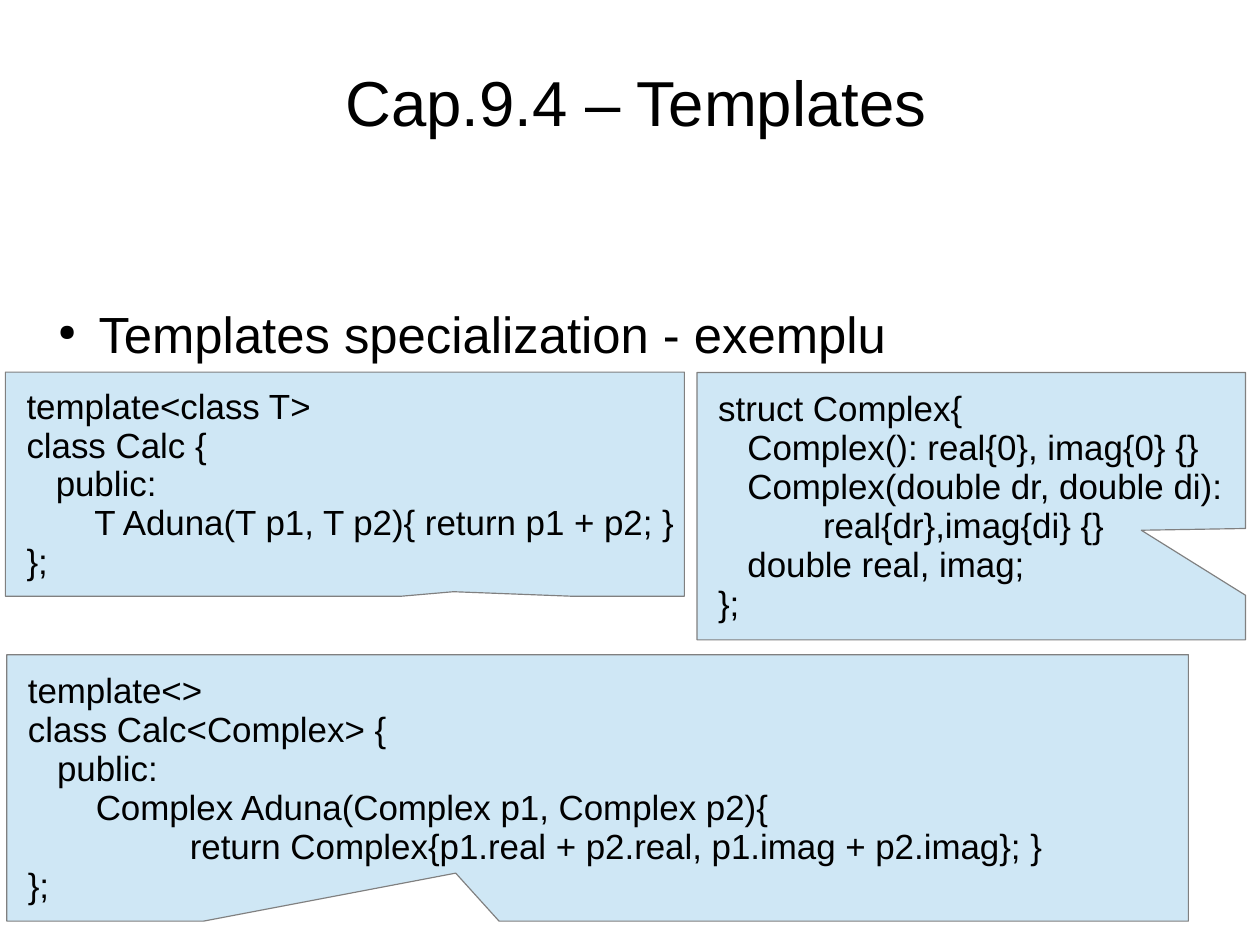
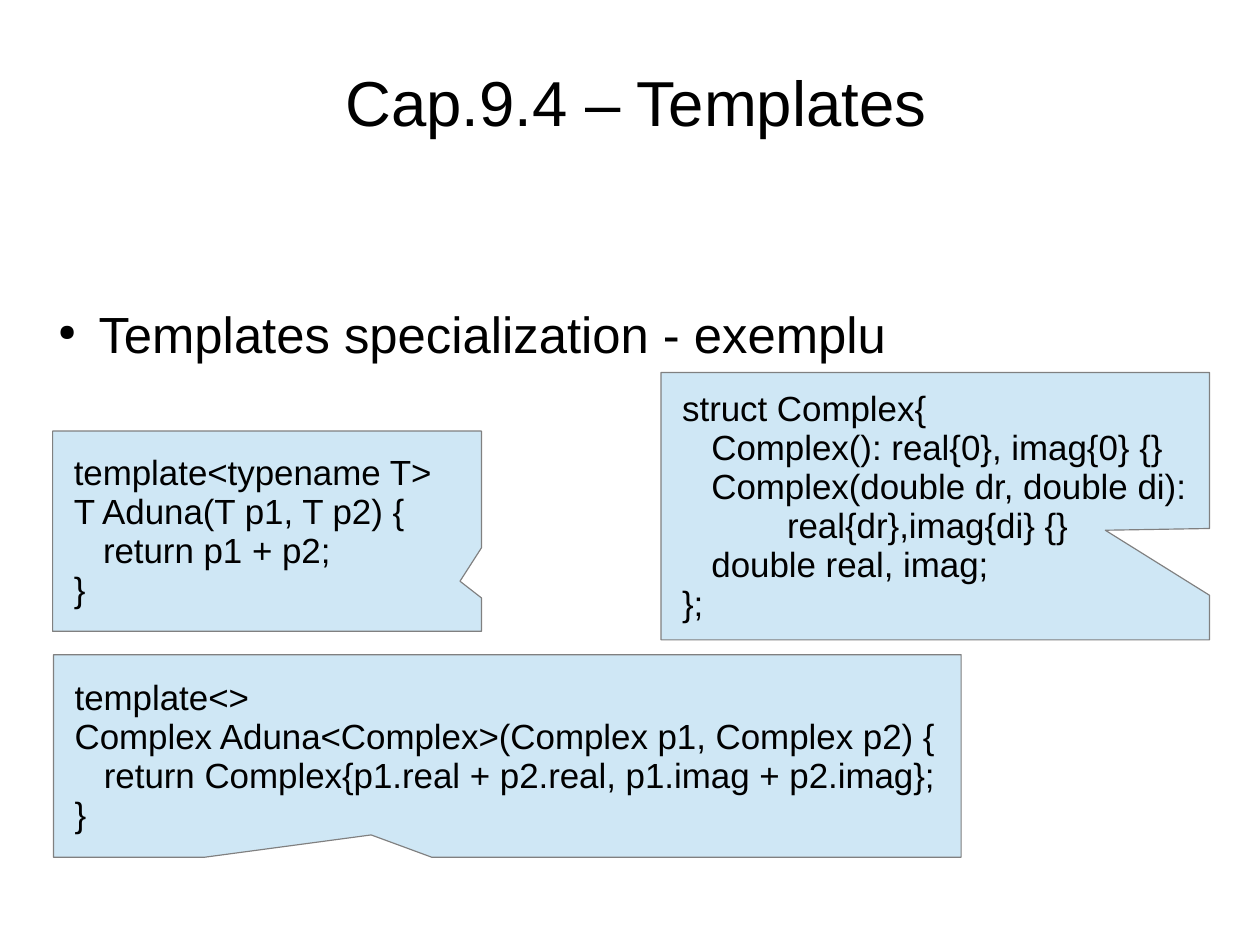
import pptx
import pptx.util
import pptx.dml.color
import pptx.enum.shapes
import pptx.enum.text
import pptx.oxml.ns
import lxml.etree

Cm, Pt = pptx.util.Cm, pptx.util.Pt
ALIGN, ANCHOR = pptx.enum.text.PP_ALIGN, pptx.enum.text.MSO_ANCHOR

# Shared style
BLACK = pptx.dml.color.RGBColor(0x00, 0x00, 0x00)
GRAY = pptx.dml.color.RGBColor(0x80, 0x80, 0x80)
PALE_BLUE = pptx.dml.color.RGBColor(0xCF, 0xE7, 0xF5)
FONT = "Arial"
LINE_SPACING = 0.93
TITLE_AREA = (0.91, 0.71, 26.44, 3.15)
TOPIC_AREA = (0.99, 6.76, 26.19, 1.52)
CODE_INSETS = (0.47, 0.18, 0, 0.13)
MEMBER, BODY = 0.65, 1.51  # code indents in cm

# Content: code lines are (indent, text)
TITLE = "Cap.9.4 – Templates"
TOPIC = "Templates specialization - exemplu"

STRUCT_COMPLEX = [
    (0, "struct Complex{"),
    (MEMBER, "Complex(): real{0}, imag{0} {}"),
    (MEMBER, "Complex(double dr, double di):"),
    (2.33, "real{dr},imag{di} {}"),
    (MEMBER, "double real, imag;"),
    (0, "};"),
]
CLASS_TEMPLATE = [
    (0, "template<class T>"),
    (0, "class Calc {"),
    (MEMBER, "public:"),
    (BODY, "T Aduna(T p1, T p2){ return p1 + p2; }"),
    (0, "};"),
]
CLASS_SPECIALIZATION = [
    (0, "template<>"),
    (0, "class Calc<Complex> {"),
    (MEMBER, "public:"),
    (BODY, "Complex Aduna(Complex p1, Complex p2){"),
    (3.6, "return Complex{p1.real + p2.real, p1.imag + p2.imag}; }"),
    (0, "};"),
]
FUNCTION_TEMPLATE = [
    (0, "template<typename T>"),
    (0, "T Aduna(T p1, T p2) {"),
    (MEMBER, "return p1 + p2;"),
    (0, "}"),
]
FUNCTION_SPECIALIZATION = [
    (0, "template<>"),
    (0, "Complex Aduna<Complex>(Complex p1, Complex p2) {"),
    (MEMBER, "return Complex{p1.real + p2.real, p1.imag + p2.imag};"),
    (0, "}"),
]


def struct_callout(left):
    return STRUCT_COMPLEX, (left, 8.28, 12.19, 5.94), (0.31, 0.09)


# Each slide: callouts as (code, area in cm, pointer tip from the centre)
SLIDES = [
    [
        (CLASS_TEMPLATE, (0.12, 8.27, 15.09, 4.98), (0.16, 0.48)),
        (CLASS_SPECIALIZATION, (0.15, 14.55, 26.26, 5.92), (-0.12, 0.32)),
        struct_callout(15.49),
    ],
    [
        (FUNCTION_TEMPLATE, (1.17, 9.58, 9.53, 4.45), (0.45, 0.25)),
        (FUNCTION_SPECIALIZATION, (1.19, 14.55, 20.17, 4.5), (-0.15, 0.39)),
        struct_callout(14.69),
    ],
]


def add_bullet(para, hanging):
    """Give the paragraph a small round bullet with a hanging indent."""
    properties = para._p.get_or_add_pPr()
    properties.set("indent", str(-Cm(hanging)))
    qn = pptx.oxml.ns.qn
    color = lxml.etree.SubElement(properties, qn("a:buClr"))
    lxml.etree.SubElement(color, qn("a:srgbClr"), val=str(BLACK))
    lxml.etree.SubElement(properties, qn("a:buSzPct"), val="45000")
    lxml.etree.SubElement(properties, qn("a:buChar"), char="●")


def write_text(box, lines, size, insets, align=ALIGN.LEFT,
               anchor=ANCHOR.MIDDLE, hanging=None):
    """Fill a shape with (indent, text) lines."""
    frame = box.text_frame
    frame.word_wrap = True
    frame.vertical_anchor = anchor
    (frame.margin_left, frame.margin_top,
     frame.margin_right, frame.margin_bottom) = map(Cm, insets)
    for number, (indent, text) in enumerate(lines):
        para = frame.add_paragraph() if number else frame.paragraphs[0]
        para.alignment = align
        para.line_spacing = LINE_SPACING
        if indent:
            para._p.get_or_add_pPr().set("marL", str(Cm(indent)))
        if hanging:
            add_bullet(para, hanging)
        span = para.add_run()
        span.text = text
        span.font.name = FONT
        span.font.size = Pt(size)
        span.font.color.rgb = BLACK


def add_callout(page, code, area, tip):
    kind = pptx.enum.shapes.MSO_SHAPE.RECTANGULAR_CALLOUT
    box = page.shapes.add_shape(kind, *map(Cm, area))
    box.adjustments[0], box.adjustments[1] = tip
    box.shadow.inherit = False
    box.fill.solid()
    box.fill.fore_color.rgb = PALE_BLUE
    box.line.color.rgb = GRAY
    box.line.width = Pt(0.75)
    write_text(box, code, 22, CODE_INSETS)


def add_page(deck, callouts):
    page = deck.slides.add_slide(deck.slide_layouts[6])
    # Heading and topic
    title = page.shapes.add_textbox(*map(Cm, TITLE_AREA))
    write_text(title, [(0, TITLE)], 40, (0, 0.1, 0, 0), align=ALIGN.CENTER)
    topic = page.shapes.add_textbox(*map(Cm, TOPIC_AREA))
    write_text(topic, [(1.2, TOPIC)], 32, (0, 0.08, 0, 0),
               anchor=ANCHOR.TOP, hanging=0.9)
    # Code callouts
    for callout in callouts:
        add_callout(page, *callout)


def main():
    deck = pptx.Presentation()
    deck.slide_width, deck.slide_height = Cm(28), Cm(21)
    for callouts in SLIDES:
        add_page(deck, callouts)
    deck.save("out.pptx")


if __name__ == "__main__":
    main()
